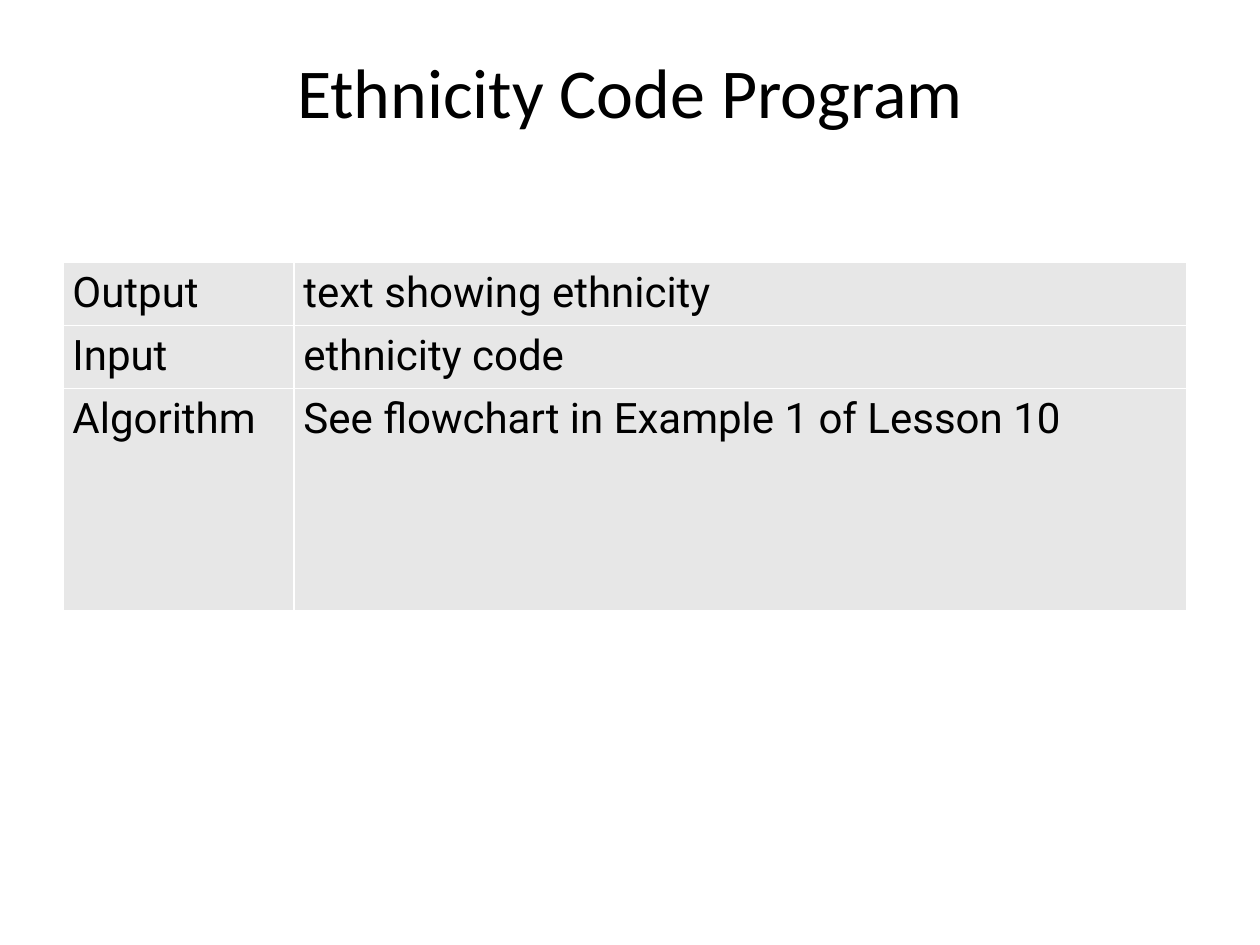
import pptx
import pptx.dml.color
import pptx.enum.text
import pptx.util

Pt = pptx.util.Pt


def colour(value):
    return pptx.dml.color.RGBColor.from_string(value)


class ProgramSlide:
    """Hold the style and the current page, and add its elements."""

    ink = "000000"
    shade = "E7E7E7"
    title_font = "Calibri"
    body_font = "Roboto"

    def __init__(self, deck):
        self.page = deck.slides.add_slide(deck.slide_layouts[6])

    def style(self, para, name, size):
        para.font.name = name
        para.font.size = Pt(size)
        para.font.color.rgb = colour(self.ink)

    def title(self, text, left, top, width, height):
        box = self.page.shapes.add_textbox(Pt(left), Pt(top), Pt(width), Pt(height))
        frame = box.text_frame
        frame.word_wrap = True
        frame.vertical_anchor = pptx.enum.text.MSO_ANCHOR.TOP
        frame.margin_top = Pt(6)
        para = frame.paragraphs[0]
        para.text = text
        para.alignment = pptx.enum.text.PP_ALIGN.CENTER
        self.style(para, self.title_font, 40)

    def table(self, entries, left, top, widths, heights):
        table = self.page.shapes.add_table(
            len(heights), len(widths), Pt(left), Pt(top),
            Pt(sum(widths)), Pt(sum(heights))).table
        table.first_row = False
        table.horz_banding = False
        for column, width in zip(table.columns, widths):
            column.width = Pt(width)
        for row, height, texts in zip(table.rows, heights, entries):
            row.height = Pt(height)
            for cell, text in zip(row.cells, texts):
                self.cell(cell, text)

    def cell(self, cell, text):
        cell.fill.solid()
        cell.fill.fore_color.rgb = colour(self.shade)
        cell.margin_left = cell.margin_right = Pt(5.4)
        cell.margin_top = cell.margin_bottom = Pt(3.6)
        para = cell.text_frame.paragraphs[0]
        para.text = text
        self.style(para, self.body_font, 24)


def main():
    deck = pptx.Presentation()
    deck.slide_width = Pt(720)
    deck.slide_height = Pt(540)
    slide = ProgramSlide(deck)
    slide.title("Ethnicity Code Program", 36, 21.6, 648, 90)
    entries = [
        ("Output", "text showing ethnicity"),
        ("Input", "ethnicity code"),
        ("Algorithm", "See flowchart in Example 1 of Lesson 10"),
    ]
    slide.table(entries, 36, 150, (132, 510), (33, 33, 127.2))
    deck.save("out.pptx")


if __name__ == "__main__":
    main()
